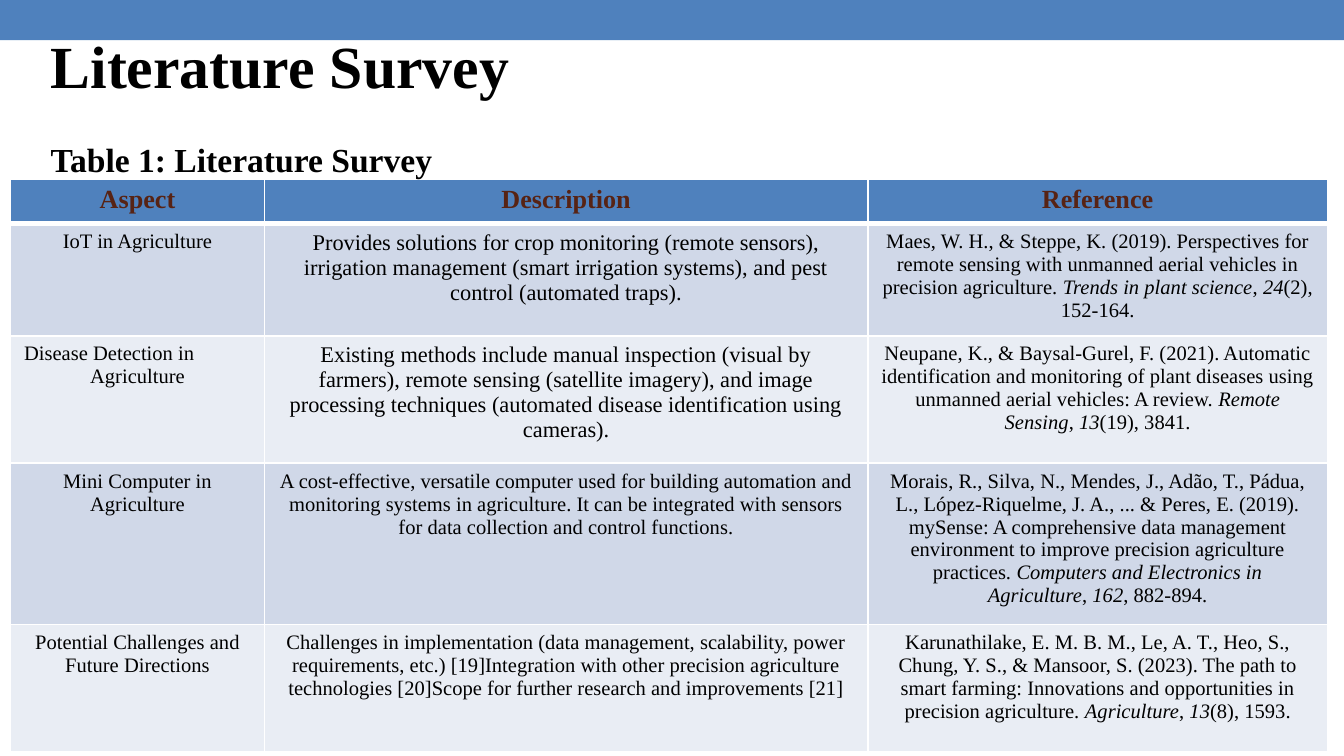
from dataclasses import dataclass

from lxml import etree
from pptx import Presentation
from pptx import util as u
from pptx.dml.color import RGBColor
from pptx.enum import shapes, text
from pptx.oxml import ns


@dataclass(frozen=True)
class Theme:
    font: str = "Times New Roman"
    accent: str = "4F81BD"
    ink: str = "000000"
    header_ink: str = "572314"
    border: str = "FFFFFF"
    bands: tuple = ("D0D8E8", "E9EDF4")
    title: int = 32
    caption: int = 18
    header: int = 14
    large: int = 12
    body: int = 11


THEME = Theme()
CENTER = text.PP_ALIGN.CENTER

HEADERS = ("Aspect", "Description", "Reference")
COLUMN_WIDTHS = (4.8, 11.4, 8.69)
ROW_HEIGHTS = (0.84, 2.08, 2.41, 3.02, 2.41)

# Asterisks enclose italic words; a line feed starts a new paragraph
SURVEY = (
    ("IoT in Agriculture",
     "Provides solutions for crop monitoring (remote sensors), irrigation management "
     "(smart irrigation systems), and pest control (automated traps).",
     "Maes, W. H., & Steppe, K. (2019). Perspectives for remote sensing with unmanned "
     "aerial vehicles in precision agriculture. *Trends in plant science*, *24*(2), 152-164."),
    ("Disease Detection in\nAgriculture",
     "Existing methods include manual inspection (visual by farmers), remote sensing "
     "(satellite imagery), and image processing techniques (automated disease "
     "identification using cameras).",
     "Neupane, K., & Baysal-Gurel, F. (2021). Automatic identification and monitoring of "
     "plant diseases using unmanned aerial vehicles: A review. *Remote Sensing*, "
     "*13*(19), 3841."),
    ("Mini Computer in Agriculture",
     "A cost-effective, versatile computer used for building automation and monitoring "
     "systems in agriculture. It can be integrated with sensors for data collection and "
     "control functions.",
     "Morais, R., Silva, N., Mendes, J., Adão, T., Pádua, L., López-Riquelme, J. A., ... "
     "& Peres, E. (2019). mySense: A comprehensive data management environment to improve "
     "precision agriculture practices. *Computers and Electronics in Agriculture*, "
     "*162*, 882-894."),
    ("Potential Challenges and Future Directions",
     "Challenges in implementation (data management, scalability, power requirements, "
     "etc.) [19]Integration with other precision agriculture technologies [20]Scope for "
     "further research and improvements [21]",
     "Karunathilake, E. M. B. M., Le, A. T., Heo, S., Chung, Y. S., & Mansoor, S. (2023). "
     "The path to smart farming: Innovations and opportunities in precision agriculture. "
     "*Agriculture*, *13*(8), 1593."),
)


def lengths(box):
    return [u.Cm(value) for value in box]


def style_span(span, size, color, bold=False, italic=False):
    span.font.name = THEME.font
    span.font.size = u.Pt(size)
    span.font.color.rgb = RGBColor.from_string(color)
    span.font.bold = bold
    span.font.italic = italic


def add_banner(page, box):
    banner = page.shapes.add_shape(shapes.MSO_SHAPE.RECTANGLE, *lengths(box))
    banner.shadow.inherit = False
    banner.fill.solid()
    banner.fill.fore_color.rgb = RGBColor.from_string(THEME.accent)
    banner.line.fill.background()


def add_heading(page, box, words, size, line_spacing=1.0):
    frame = page.shapes.add_textbox(*lengths(box)).text_frame
    frame.word_wrap = True
    frame.text = words
    para = frame.paragraphs[0]
    para.line_spacing = line_spacing
    style_span(para.runs[0], size, THEME.ink, bold=True)


def set_borders(cell, bottom):
    properties = cell._tc.get_or_add_tcPr()
    for side, points in (("L", 1), ("R", 1), ("T", 1), ("B", bottom)):
        line = etree.SubElement(properties, ns.qn(f"a:ln{side}"), w=str(u.Pt(points)))
        fill = etree.SubElement(line, ns.qn("a:solidFill"))
        etree.SubElement(fill, ns.qn("a:srgbClr"), val=THEME.border)


def fill_cell(cell, words, fill, size, color, bold=False, bottom=1):
    set_borders(cell, bottom)
    cell.fill.solid()
    cell.fill.fore_color.rgb = RGBColor.from_string(fill)
    frame = cell.text_frame
    for number, line in enumerate(words.split("\n")):
        para = frame.add_paragraph() if number else frame.paragraphs[0]
        para.alignment = CENTER
        for index, part in enumerate(line.split("*")):
            span = para.add_run()
            span.text = part
            style_span(span, size, color, bold, italic=index % 2 == 1)


def add_survey_table(page, box):
    table = page.shapes.add_table(len(ROW_HEIGHTS), len(HEADERS), *lengths(box)).table
    for column, width in zip(table.columns, COLUMN_WIDTHS):
        column.width = u.Cm(width)
    for row, height in zip(table.rows, ROW_HEIGHTS):
        row.height = u.Cm(height)

    # Header row
    for column, words in enumerate(HEADERS):
        fill_cell(table.cell(0, column), words, THEME.accent, THEME.header,
                  THEME.header_ink, bold=True, bottom=3)

    # Body rows: the first two descriptions are set larger
    for row, entry in enumerate(SURVEY, start=1):
        for column, words in enumerate(entry):
            size = THEME.large if column == 1 and row <= 2 else THEME.body
            fill_cell(table.cell(row, column), words, THEME.bands[(row - 1) % 2],
                      size, THEME.ink)

    # The split aspect starts at the left edge
    table.cell(2, 0).text_frame.paragraphs[0].alignment = text.PP_ALIGN.LEFT


def main():
    deck = Presentation()
    deck.slide_width, deck.slide_height = u.Cm(25.4), u.Cm(14.29)
    page = deck.slides.add_slide(deck.slide_layouts[6])

    add_banner(page, (0, 0, 25.4, 0.76))
    add_heading(page, (0.71, 0.69, 24.08, 2.39), "Literature Survey", THEME.title, 0.8)
    add_survey_table(page, (0.2, 3.38, sum(COLUMN_WIDTHS), sum(ROW_HEIGHTS)))
    add_heading(page, (0.71, 2.51, 9.19, 1.02), "Table 1: Literature Survey", THEME.caption)

    deck.save("out.pptx")


if __name__ == "__main__":
    main()
